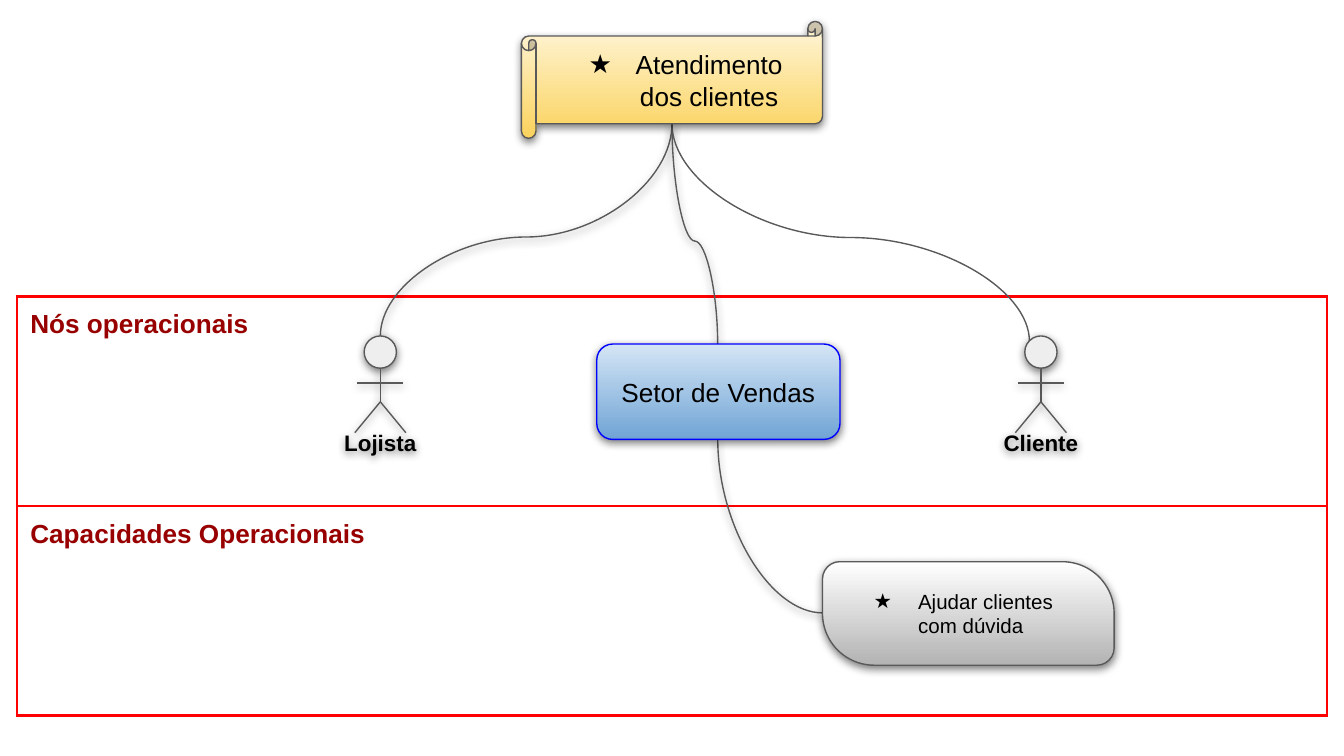
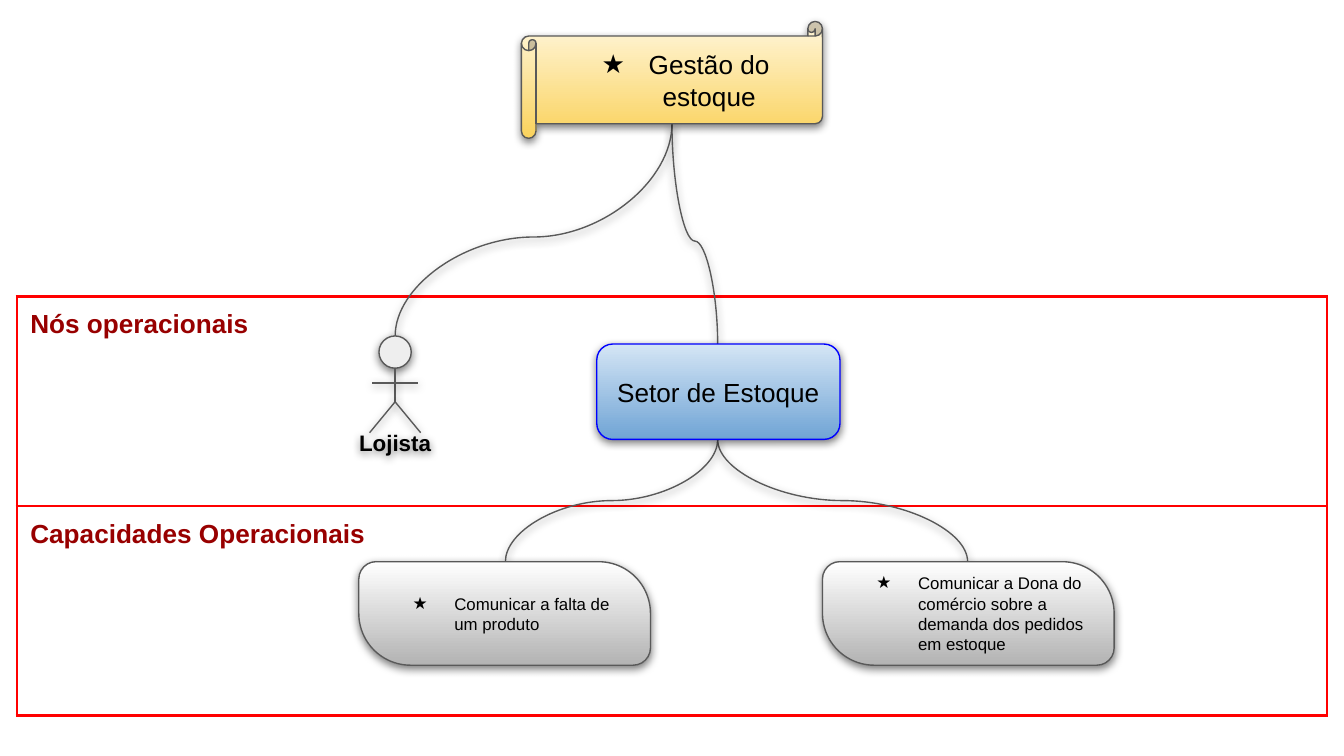
from lxml import etree
from pptx import Presentation
from pptx.dml.color import RGBColor
from pptx.enum.shapes import MSO_CONNECTOR, MSO_SHAPE
from pptx.enum.text import MSO_ANCHOR, PP_ALIGN
from pptx.oxml import parse_xml
from pptx.oxml.ns import nsdecls, qn
from pptx.util import Inches, Pt

STRAIGHT, CURVE = MSO_CONNECTOR.STRAIGHT, MSO_CONNECTOR.CURVE
SCROLL, ROUNDED = MSO_SHAPE.HORIZONTAL_SCROLL, MSO_SHAPE.ROUNDED_RECTANGLE
LEAF, HEAD = MSO_SHAPE.ROUND_2_DIAG_RECTANGLE, MSO_SHAPE.FLOWCHART_CONNECTOR
LEFT, CENTER = PP_ALIGN.LEFT, PP_ALIGN.CENTER
TOP, MIDDLE = MSO_ANCHOR.TOP, MSO_ANCHOR.MIDDLE

COLORS = {
    "text": "000000", "band_title": "980000", "band_border": "FF0000",
    "outline": "595959", "node_outline": "0000FF", "head": "EEEEEE",
    "mission_light": "FFF6DB", "mission_dark": "FAD25C",
    "node_light": "D4E5F5", "node_dark": "70A4D5",
    "capability_light": "FFFFFF", "capability_dark": "B3B3B3",
}
FONT = "Arial"
STAR = "★"

# The slide is 100 columns wide; all places below are in columns of 0.1 inch.
SLIDE_W, SLIDE_H = Inches(10), Inches(5.625)
GRID = SLIDE_W // 100
MARGIN = GRID

# Bands
BAND_LEFT, BAND_TOP, BAND_W, BAND_H = 1.25, 22.05, 97.5, 15.6
BAND_TITLES = ["Nós operacionais", "Capacidades Operacionais"]

# Boxes: preset, size, adjustments, text alignment
BOXES = {
    "mission": (SCROLL, 22.4, 8.7, [0.125], CENTER),
    "node": (ROUNDED, 18.1, 7.1, [0.167], CENTER),
    "capability": (LEAF, 21.7, 7.7, [0.167, 0.5], LEFT),
}
MISSION_AT, NODE_AT = (38.8, 1.6), (44.4, 25.6)
CAPABILITY_LEFTS, CAPABILITY_TOP = (26.7, 61.2), 41.8

# Actor: offsets from its centre line, and heights on the slide
HEAD_SIZE, HEAD_TOP, NECK, ARMS, HIP, FEET = 2.4, 25, 27.4, 28.5, 29.9, 32.2
ARM, LEG = 1.7, 1.9
LABEL_W, LABEL_TOP, LABEL_H = 12.4, 30.9, 4.2

# Ends of curves
MISSION_END = (50, 9.2)
NODE_TOP, NODE_BOTTOM = (53.4, 25.6), (53.4, 32.7)

# Curves: start, end, place of the bend (None: a single quarter), shadow
SLIDES = [
    {
        "mission": "Atendimento dos clientes",
        "node": "Setor de Vendas",
        "actors": [("Lojista", 28.3), ("Cliente", 77.45)],
        "capabilities": [("Ajudar clientes com dúvida", CAPABILITY_LEFTS[1], 11, -0.33)],
        "curves": [
            (MISSION_END, (28.3, 25), 0.534, True),
            (MISSION_END, NODE_TOP, 0.533, True),
            (MISSION_END, (76.6, 25.4), 0.523, False),
            (NODE_BOTTOM, (61.2, 45.6), None, True),
        ],
    },
    {
        "mission": "Gestão do estoque",
        "node": "Setor de Estoque",
        "actors": [("Lojista", 29.4)],
        "capabilities": [
            ("Comunicar a falta de um produto", CAPABILITY_LEFTS[0], 9, -0.31),
            ("Comunicar a Dona do comércio sobre a demanda dos pedidos em estoque",
             CAPABILITY_LEFTS[1], 9, -0.31),
        ],
        "curves": [
            (MISSION_END, (29.4, 25), 0.534, True),
            (MISSION_END, NODE_TOP, 0.533, True),
            (NODE_BOTTOM, (72, 41.8), 0.5, True),
            (NODE_BOTTOM, (37.6, 41.8), 0.5, True),
        ],
    },
]


def write(frame, text, size=14, color="text", bold=False, align=LEFT,
          anchor=TOP, star_indent=None):
    """Put one formatted paragraph in a text frame, with a star if indented."""
    frame.word_wrap = True
    frame.vertical_anchor = anchor
    frame.margin_left = frame.margin_right = MARGIN
    frame.margin_top = frame.margin_bottom = MARGIN
    paragraph = frame.paragraphs[0]
    paragraph.alignment = align
    run = paragraph.add_run()
    run.text = text
    run.font.name, run.font.size, run.font.bold = FONT, Pt(size), bold
    run.font.color.rgb = RGBColor.from_string(COLORS[color])
    if star_indent is not None:
        layout = paragraph._p.get_or_add_pPr()
        layout.set("marL", str(Inches(0.5)))
        layout.set("indent", str(Inches(star_indent)))
        tint = etree.SubElement(layout, qn("a:buClr"))
        etree.SubElement(tint, qn("a:srgbClr"), val=COLORS["text"])
        etree.SubElement(layout, qn("a:buFont"), typeface=FONT)
        etree.SubElement(layout, qn("a:buChar"), char=STAR)


def dress(part, outline="outline", shadow=True):
    """Give a part its outline (or none) and its soft shadow (or none)."""
    if outline:
        part.line.color.rgb = RGBColor.from_string(COLORS[outline])
        part.line.width = Pt(0.75)
    effects = etree.SubElement(part._element.spPr, qn("a:effectLst"))
    if shadow:
        drop = etree.SubElement(
            effects, qn("a:outerShdw"), blurRad=str(Pt(4.5)), dist=str(Pt(1.5)),
            dir="5400000", algn="bl", rotWithShape="0")
        tint = etree.SubElement(drop, qn("a:srgbClr"), val=COLORS["text"])
        etree.SubElement(tint, qn("a:alpha"), val="50000")


deck = Presentation()
deck.slide_width, deck.slide_height = SLIDE_W, SLIDE_H

for content in SLIDES:
    shapes = deck.slides.add_slide(deck.slide_layouts[6]).shapes

    # Two red bands
    bands = shapes.add_table(
        len(BAND_TITLES), 1,
        *[int(v * GRID) for v in (BAND_LEFT, BAND_TOP, BAND_W, 2 * BAND_H)]).table
    bands.first_row = bands.horz_banding = False
    for row, title in enumerate(BAND_TITLES):
        bands.rows[row].height = int(BAND_H * GRID)
        cell = bands.cell(row, 0)
        cell.margin_left = cell.margin_right = MARGIN
        cell.margin_top = cell.margin_bottom = MARGIN
        write(cell.text_frame, title, color="band_title", bold=True)
        cell.fill.background()
        for position, side in enumerate(("lnL", "lnR", "lnT", "lnB")):
            cell._tc.get_or_add_tcPr().insert(position, parse_xml(
                f'<a:{side} {nsdecls("a")} w="{Pt(1.5)}"><a:solidFill>'
                f'<a:srgbClr val="{COLORS["band_border"]}"/></a:solidFill></a:{side}>'))

    # Curves leave downwards: a sideways connector is turned by a quarter
    for (x1, y1), (x2, y2), bend, shadow in content["curves"]:
        mid_x, mid_y = (x1 + x2) / 2, (y1 + y2) / 2
        half_w, half_h = (y2 - y1) / 2, abs(x2 - x1) / 2
        curve = shapes.add_connector(CURVE, *[int(v * GRID) for v in (
            mid_x - half_w, mid_y - half_h, mid_x + half_w, mid_y + half_h)])
        frame = curve._element.spPr.find(qn("a:xfrm"))
        frame.set("rot", str((270 if x2 > x1 else 90) * 60000))
        if x2 > x1:
            frame.set("flipH", "1")
        preset = curve._element.spPr.find(qn("a:prstGeom"))
        if bend is None:
            preset.set("prst", "curvedConnector2")
        else:
            guides = preset.find(qn("a:avLst"))
            etree.SubElement(guides, qn("a:gd"), name="adj1",
                             fmla=f"val {round(bend * 100000)}")
        dress(curve, shadow=shadow)

    # Mission, node and capabilities
    boxes = [("mission", content["mission"], MISSION_AT, 14, -0.35),
             ("node", content["node"], NODE_AT, 14, None)]
    boxes += [("capability", text, (left, CAPABILITY_TOP), size, indent)
              for text, left, size, indent in content["capabilities"]]
    for role, text, place, size, indent in boxes:
        preset, width, height, adjustments, align = BOXES[role]
        box = shapes.add_shape(preset, *[int(v * GRID) for v in (*place, width, height)])
        for index, value in enumerate(adjustments):
            box.adjustments[index] = value
        box.fill.gradient()
        box.fill.gradient_angle = 270
        for stop, position, shade in zip(box.fill.gradient_stops, (0, 1), ("light", "dark")):
            stop.position = position
            stop.color.rgb = RGBColor.from_string(COLORS[f"{role}_{shade}"])
        dress(box, "node_outline" if role == "node" else "outline")
        write(box.text_frame, text, size=size, align=align, anchor=MIDDLE,
              star_indent=indent)

    # Stick figures
    for name, center in content["actors"]:
        actor = shapes.add_group_shape().shapes
        head = actor.add_shape(HEAD, *[int(v * GRID) for v in (
            center - HEAD_SIZE / 2, HEAD_TOP, HEAD_SIZE, HEAD_SIZE)])
        head.fill.solid()
        head.fill.fore_color.rgb = RGBColor.from_string(COLORS["head"])
        dress(head)
        for limb in [(center, NECK, center, HIP),
                     (center - ARM, ARMS, center + ARM, ARMS),
                     (center, HIP, center - LEG, FEET),
                     (center + LEG, FEET, center, HIP)]:
            dress(actor.add_connector(STRAIGHT, *[int(v * GRID) for v in limb]))
        label = actor.add_textbox(*[int(v * GRID) for v in (
            center - LABEL_W / 2, LABEL_TOP, LABEL_W, LABEL_H)])
        dress(label, outline=None)
        write(label.text_frame, name, size=12, bold=True, align=CENTER)

deck.save("out.pptx")
